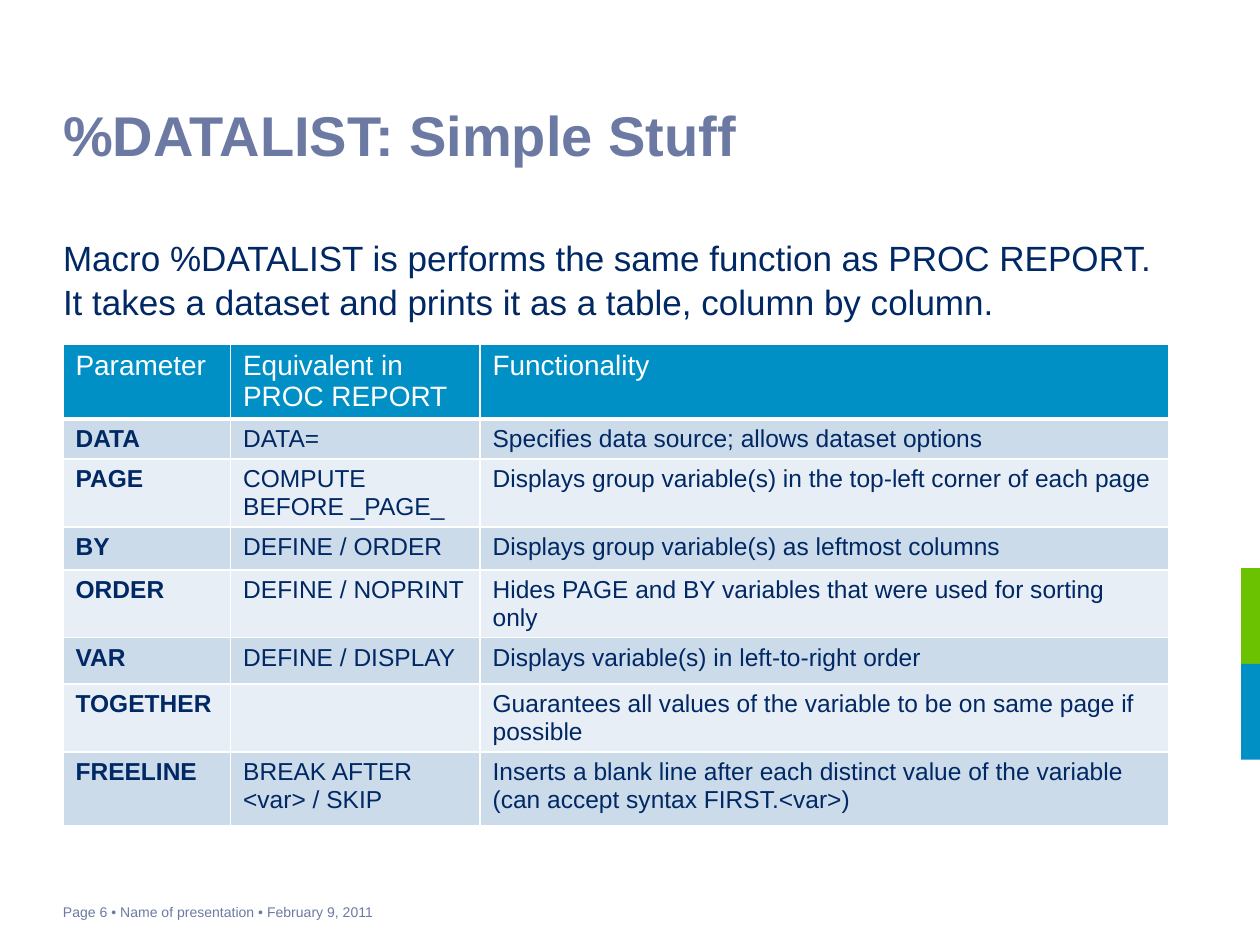
from dataclasses import dataclass

import pptx
import pptx.dml.color
import pptx.enum.shapes
import pptx.enum.text
import pptx.oxml
import pptx.oxml.ns
import pptx.util
from pptx.util import Inches

FONT = "Arial"
NAVY, SLATE, BLUE, GREEN, WHITE = "002864", "6C7AA3", "0090C5", "6BC200", "FFFFFF"
BANDS = ("CCDBEA", "E7EEF5")
ANCHOR = pptx.enum.text.MSO_ANCHOR
LEFT = pptx.enum.text.PP_ALIGN.LEFT


@dataclass
class Row:
    height: float
    parameter: str
    equivalent: str
    functionality: str


@dataclass
class Bar:
    top: float
    height: float
    color: str


COLUMNS = (1.33, 1.98, 5.47)
ROWS = [
    Row(0.59, "Parameter", "Equivalent in PROC REPORT", "Functionality"),
    Row(0.32, "DATA", "DATA=", "Specifies data source; allows dataset options"),
    Row(0.54, "PAGE", "COMPUTE BEFORE _PAGE_",
        "Displays group variable(s) in the top-left corner of each page"),
    Row(0.34, "BY", "DEFINE / ORDER", "Displays group variable(s) as leftmost columns"),
    Row(0.35, "ORDER", "DEFINE / NOPRINT",
        "Hides PAGE and BY variables that were used for sorting only"),
    Row(0.37, "VAR", "DEFINE / DISPLAY", "Displays variable(s) in left-to-right order"),
    Row(0.54, "TOGETHER", "",
        "Guarantees all values of the variable to be on same page if possible"),
    Row(0.58, "FREELINE", "BREAK AFTER <var> / SKIP",
        "Inserts a blank line after each distinct value of the variable "
        "(can accept syntax FIRST.<var>)"),
]
BARS = [Bar(4.51, 0.76, GREEN), Bar(5.27, 0.76, BLUE)]


def rgb(color: str) -> pptx.dml.color.RGBColor:
    return pptx.dml.color.RGBColor.from_string(color)


def add_run(p, text: str, size: float, color: str, bold: bool = False) -> None:
    r = p.add_run()
    r.text = text
    r.font.name, r.font.size, r.font.bold = FONT, pptx.util.Pt(size), bold
    r.font.color.rgb = rgb(color)


def place(sp, left: float, top: float, width: float, height: float, anchor):
    """Position a text shape, clear its insets and return its first paragraph."""
    sp.left, sp.top = Inches(left), Inches(top)
    sp.width, sp.height = Inches(width), Inches(height)
    tf = sp.text_frame
    tf.margin_left = tf.margin_top = tf.margin_right = tf.margin_bottom = 0
    tf.word_wrap = True
    tf.auto_size = pptx.enum.text.MSO_AUTO_SIZE.NONE
    tf.vertical_anchor = anchor
    p = tf.paragraphs[0]
    p.alignment = LEFT
    return p


def add_bar(s, bar: Bar) -> None:
    sp = s.shapes.add_shape(pptx.enum.shapes.MSO_SHAPE.RECTANGLE, Inches(9.85),
                            Inches(bar.top), Inches(0.15), Inches(bar.height))
    sp.shadow.inherit = False
    sp.fill.solid()
    sp.fill.fore_color.rgb = rgb(bar.color)
    sp.line.fill.background()


def set_borders(cell, top: float, bottom: float) -> None:
    tc_pr = cell._tc.get_or_add_tcPr()
    widths = {"lnL": 1, "lnR": 1, "lnT": top, "lnB": bottom}
    for i, (side, width) in enumerate(widths.items()):
        tc_pr.insert(i, pptx.oxml.parse_xml(
            f'<a:{side} {pptx.oxml.ns.nsdecls("a")} w="{pptx.util.Pt(width)}">'
            f'<a:solidFill><a:srgbClr val="{WHITE}"/></a:solidFill></a:{side}>'))


def add_parameter_table(s, left: float, top: float) -> None:
    table = s.shapes.add_table(
        len(ROWS), len(COLUMNS), Inches(left), Inches(top), Inches(sum(COLUMNS)),
        Inches(sum(row.height for row in ROWS))).table
    for col, width in zip(table.columns, COLUMNS):
        col.width = Inches(width)
    for i, row in enumerate(ROWS):
        table.rows[i].height = Inches(row.height)
        header = i == 0
        for j, text in enumerate((row.parameter, row.equivalent, row.functionality)):
            cell = table.cell(i, j)
            cell.fill.solid()
            cell.fill.fore_color.rgb = rgb(BLUE if header else BANDS[(i - 1) % 2])
            set_borders(cell, top=3 if i == 1 else 1, bottom=3 if header else 1)
            p = cell.text_frame.paragraphs[0]
            p.alignment = LEFT
            if text:
                add_run(p, text, 16 if header else 14, WHITE if header else NAVY,
                        bold=j == 0 and not header)


def main() -> None:
    prs = pptx.Presentation()
    prs.slide_width, prs.slide_height = Inches(10), Inches(7.5)
    s = prs.slides.add_slide(prs.slide_layouts[1])

    # Side bars
    for bar in BARS:
        add_bar(s, bar)

    # Footer
    box = s.shapes.add_textbox(0, 0, 0, 0)
    p = place(box, 0.5, 7.04, 7, 0.4, ANCHOR.MIDDLE)
    add_run(p, "Page 6 • Name of presentation • February 9, 2011", 8, SLATE)

    # Title
    p = place(s.shapes.title, 0.5, 0.29, 7.73, 1.04, ANCHOR.BOTTOM)
    add_run(p, "%DATALIST: Simple Stuff", 32, SLATE, bold=True)

    # Introduction, without a bullet
    p = place(s.placeholders[1], 0.5, 1.86, 8.76, 4.75, ANCHOR.TOP)
    p.space_before, p.space_after = pptx.util.Pt(3), pptx.util.Pt(6)
    p.line_spacing = 1.05
    p_pr = p._p.get_or_add_pPr()
    p_pr.set("marL", "0")
    p_pr.set("indent", "0")
    p_pr.append(pptx.oxml.parse_xml(f'<a:buNone {pptx.oxml.ns.nsdecls("a")}/>'))
    add_run(p, "Macro %DATALIST is performs the same function as PROC REPORT. "
               "It takes a dataset and prints it as a table, column by column.", 20, NAVY)

    # Parameter table
    add_parameter_table(s, 0.5, 2.73)

    prs.save("out.pptx")


if __name__ == "__main__":
    main()
